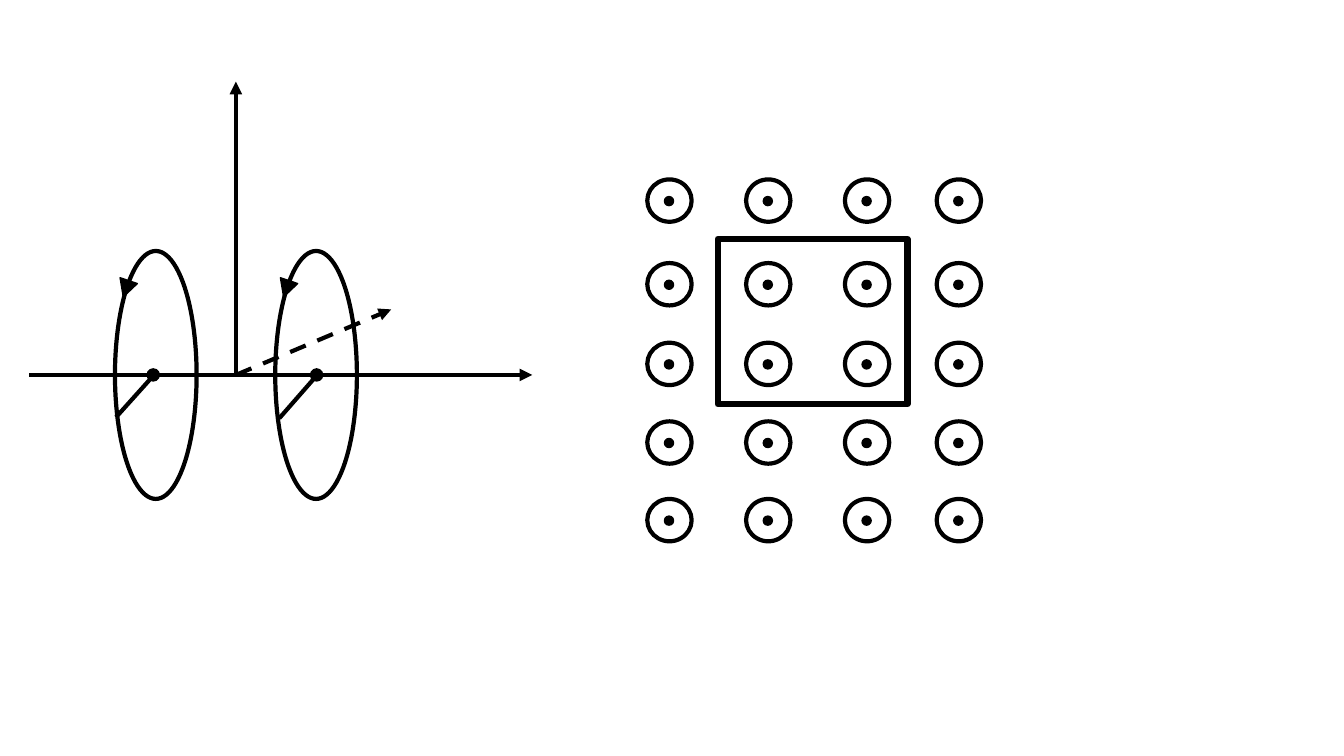
from lxml import etree
from pptx import Presentation
from pptx.dml.color import RGBColor
from pptx.enum.dml import MSO_LINE
from pptx.enum.shapes import MSO_CONNECTOR, MSO_SHAPE
from pptx.oxml.ns import qn
from pptx.util import Inches, Pt

BLACK = RGBColor(0x00, 0x00, 0x00)

# Coil pair: all lengths in inches
AXES = [
    ((0.29, 3.72), (5.28, 3.72), None),
    ((2.34, 3.74), (2.34, 0.81), None),
    ((2.34, 3.72), (3.88, 3.07), MSO_LINE.DASH),
]
COIL_TOP, COIL_SIZE = 2.49, (0.81, 2.46)
COILS = [
    {"left": 1.14, "center": 1.46, "radius": ((1.5, 3.75), (1.15, 4.14)), "current": 1.16},
    {"left": 2.73, "center": 3.08, "radius": ((3.12, 3.75), (2.77, 4.15)), "current": 2.75},
]
CENTER_TOP, CENTER_SIZE = 3.66, (0.12, 0.12)
CURRENT_TOP, CURRENT_SIZE, CURRENT_ANGLE = 2.78, (0.18, 0.17), 198.5

# Field pointing out of the page, with a rectangular loop
FIELD_COLUMNS = [6.42, 7.4, 8.38, 9.29]
FIELD_ROWS = [1.78, 2.61, 3.4, 4.18, 4.95]
RING_SIZE, DOT_SIZE = (0.44, 0.42), (0.09, 0.09)
DOT_OFFSET = 0.17
LOOP_AT, LOOP_SIZE = (7.12, 2.37), (1.88, 1.64)


def draw_shape(group, kind, at, size, weight=3, filled=False, angle=0):
    shape = group.shapes.add_shape(kind, *map(Inches, at + size))
    shape.shadow.inherit = False
    shape.rotation = angle
    if filled:
        shape.fill.solid()
        shape.fill.fore_color.rgb = BLACK
    else:
        shape.fill.background()
    shape.line.color.rgb = BLACK
    shape.line.width = Pt(weight)


def draw_line(group, start, end, dash=None, arrow=False):
    connector = group.shapes.add_connector(
        MSO_CONNECTOR.STRAIGHT, *map(Inches, start + end))
    line = connector.line
    line.color.rgb = BLACK
    line.width = Pt(3)
    if dash is not None:
        line.dash_style = dash
    properties = connector._element.spPr
    if arrow:
        outline = properties.find(qn("a:ln"))
        etree.SubElement(outline, qn("a:tailEnd"), type="triangle")
    etree.SubElement(properties, qn("a:effectLst"))


def draw_coils(group):
    for start, end, dash in AXES:
        draw_line(group, start, end, dash=dash, arrow=True)
    for coil in COILS:
        draw_line(group, *coil["radius"])
        draw_shape(group, MSO_SHAPE.OVAL, (coil["left"], COIL_TOP), COIL_SIZE)
        draw_shape(group, MSO_SHAPE.OVAL, (coil["center"], CENTER_TOP), CENTER_SIZE,
                   weight=1, filled=True)
        draw_shape(group, MSO_SHAPE.ISOSCELES_TRIANGLE, (coil["current"], CURRENT_TOP),
                   CURRENT_SIZE, weight=1, filled=True, angle=CURRENT_ANGLE)


def draw_field(group):
    for top in FIELD_ROWS:
        for left in FIELD_COLUMNS:
            draw_shape(group, MSO_SHAPE.OVAL, (left, top), RING_SIZE)
            draw_shape(group, MSO_SHAPE.OVAL, (left + DOT_OFFSET, top + DOT_OFFSET),
                       DOT_SIZE, weight=1, filled=True)
    draw_shape(group, MSO_SHAPE.RECTANGLE, LOOP_AT, LOOP_SIZE, weight=4.5)


def main():
    deck = Presentation()
    deck.slide_width, deck.slide_height = Inches(13.33), Inches(7.5)
    slide = deck.slides.add_slide(deck.slide_layouts[6])
    draw_coils(slide.shapes.add_group_shape())
    draw_field(slide.shapes.add_group_shape())
    deck.save("out.pptx")


if __name__ == "__main__":
    main()
